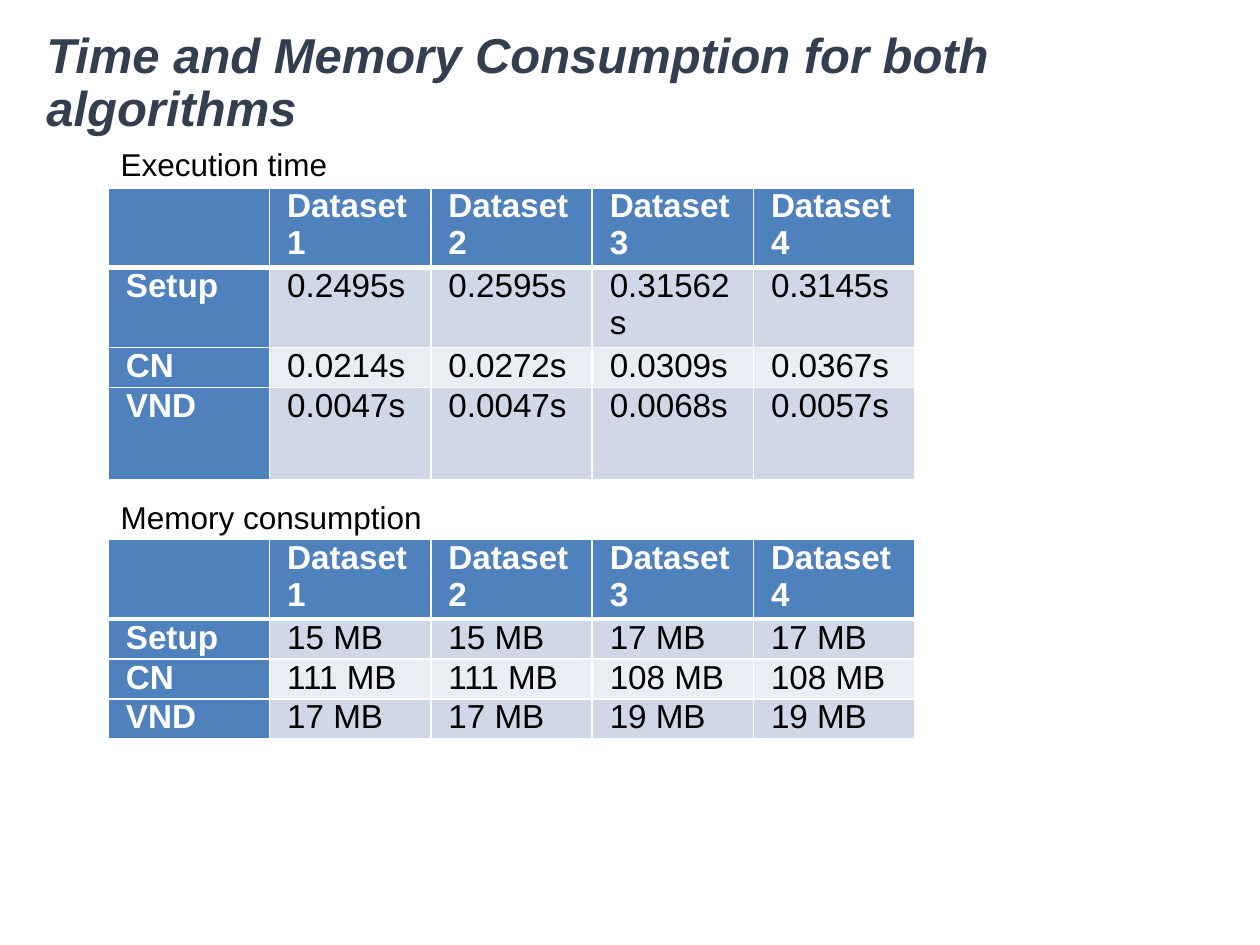
from lxml import etree
from pptx import Presentation
from pptx.dml.color import RGBColor
from pptx.enum.text import MSO_ANCHOR, PP_ALIGN
from pptx.oxml.ns import qn
from pptx.util import Inches, Pt

MIDDLE, TOP = MSO_ANCHOR.MIDDLE, MSO_ANCHOR.TOP
JUSTIFY = PP_ALIGN.JUSTIFY

FONT = "Arial"
WHITE, BLACK, SLATE, BLUE = "FFFFFF", "000000", "333F4F", "4F81BD"
BANDS = ("D0D8E8", "E9EDF4")
LEFT, COLUMN_WIDTH, CAPTION_HEIGHT = 0.86, 1.28, 0.4

TITLE = "Time and Memory Consumption for both algorithms"
HEADER = ["", "Dataset 1", "Dataset 2", "Dataset 3", "Dataset 4"]
SECTIONS = [
    {
        "caption": "Execution time",
        "caption_top": 1.1, "caption_width": 1.86, "table_top": 1.49,
        "row_heights": (0.63, 0.63, 0.31, 0.73),
        "rows": [
            HEADER,
            ["Setup", "0.2495s", "0.2595s", "0.31562s", "0.3145s"],
            ["CN", "0.0214s", "0.0272s", "0.0309s", "0.0367s"],
            ["VND", "0.0047s", "0.0047s", "0.0068s", "0.0057s"],
        ],
    },
    {
        "caption": "Memory consumption",
        "caption_top": 3.9, "caption_width": 2.61, "table_top": 4.28,
        "row_heights": (0.63, 0.31, 0.31, 0.31),
        "rows": [
            HEADER,
            ["Setup", "15 MB", "15 MB", "17 MB", "17 MB"],
            ["CN", "111 MB", "111 MB", "108 MB", "108 MB"],
            ["VND", "17 MB", "17 MB", "19 MB", "19 MB"],
        ],
    },
]


def color(value):
    """Turn a hex string into a colour."""
    return RGBColor.from_string(value)


def add_span(para, text, size, hue, bold=False, italic=False):
    """Add one formatted run to a paragraph."""
    span = para.add_run()
    span.text = text
    span.font.name, span.font.size = FONT, Pt(size)
    span.font.bold, span.font.italic = bold, italic
    span.font.color.rgb = color(hue)


def add_label(page, text, place, size, hue, anchor=TOP, wrap=False, bold=False, italic=False):
    """Add a one-paragraph text box and return its paragraph."""
    box = page.shapes.add_textbox(*map(Inches, place))
    box.text_frame.word_wrap = wrap
    box.text_frame.vertical_anchor = anchor
    para = box.text_frame.paragraphs[0]
    add_span(para, text, size, hue, bold, italic)
    return para


def add_borders(cell, row):
    """Draw white cell borders, thicker on the edge under the header."""
    widths = {"L": 1, "R": 1, "T": 3 if row == 1 else 1, "B": 3 if row == 0 else 1}
    properties = cell._tc.get_or_add_tcPr()
    for side, width in widths.items():
        line = etree.SubElement(properties, qn(f"a:ln{side}"), w=str(Pt(width)))
        fill = etree.SubElement(line, qn("a:solidFill"))
        etree.SubElement(fill, qn("a:srgbClr"), val=WHITE)


def style_cell(cell, text, row, column):
    """Fill one cell with its text, borders and colour."""
    heading = row == 0 or column == 0
    add_borders(cell, row)
    cell.fill.solid()
    cell.fill.fore_color.rgb = color(BLUE if heading else BANDS[(row - 1) % 2])
    cell.margin_left = cell.margin_right = Inches(0.14)
    cell.margin_top = cell.margin_bottom = 0
    if text:
        para = cell.text_frame.paragraphs[0]
        para.alignment, para.space_after = JUSTIFY, Pt(6)
        add_span(para, text, 19, WHITE if heading else BLACK, bold=heading)


def add_section(page, section):
    """Add a captioned table."""
    rows, heights = section["rows"], section["row_heights"]
    place = (LEFT, section["table_top"], COLUMN_WIDTH * len(HEADER), sum(heights))
    table = page.shapes.add_table(len(rows), len(HEADER), *map(Inches, place)).table
    for column in table.columns:
        column.width = Inches(COLUMN_WIDTH)
    for row, (texts, height) in enumerate(zip(rows, heights)):
        table.rows[row].height = Inches(height)
        for column, text in enumerate(texts):
            style_cell(table.cell(row, column), text, row, column)
    place = (LEFT, section["caption_top"], section["caption_width"], CAPTION_HEIGHT)
    add_label(page, section["caption"], place, 18, BLACK)


def main():
    """Build and save the deck."""
    deck = Presentation()
    deck.slide_width, deck.slide_height = Inches(10), Inches(7.5)
    page = deck.slides.add_slide(deck.slide_layouts[6])
    title = add_label(page, TITLE, (0.27, 0.33, 8.62, 0.67), 28, SLATE,
                      anchor=MIDDLE, wrap=True, bold=True, italic=True)
    title.line_spacing = 0.9
    for section in SECTIONS:
        add_section(page, section)
    deck.save("out.pptx")


if __name__ == "__main__":
    main()
